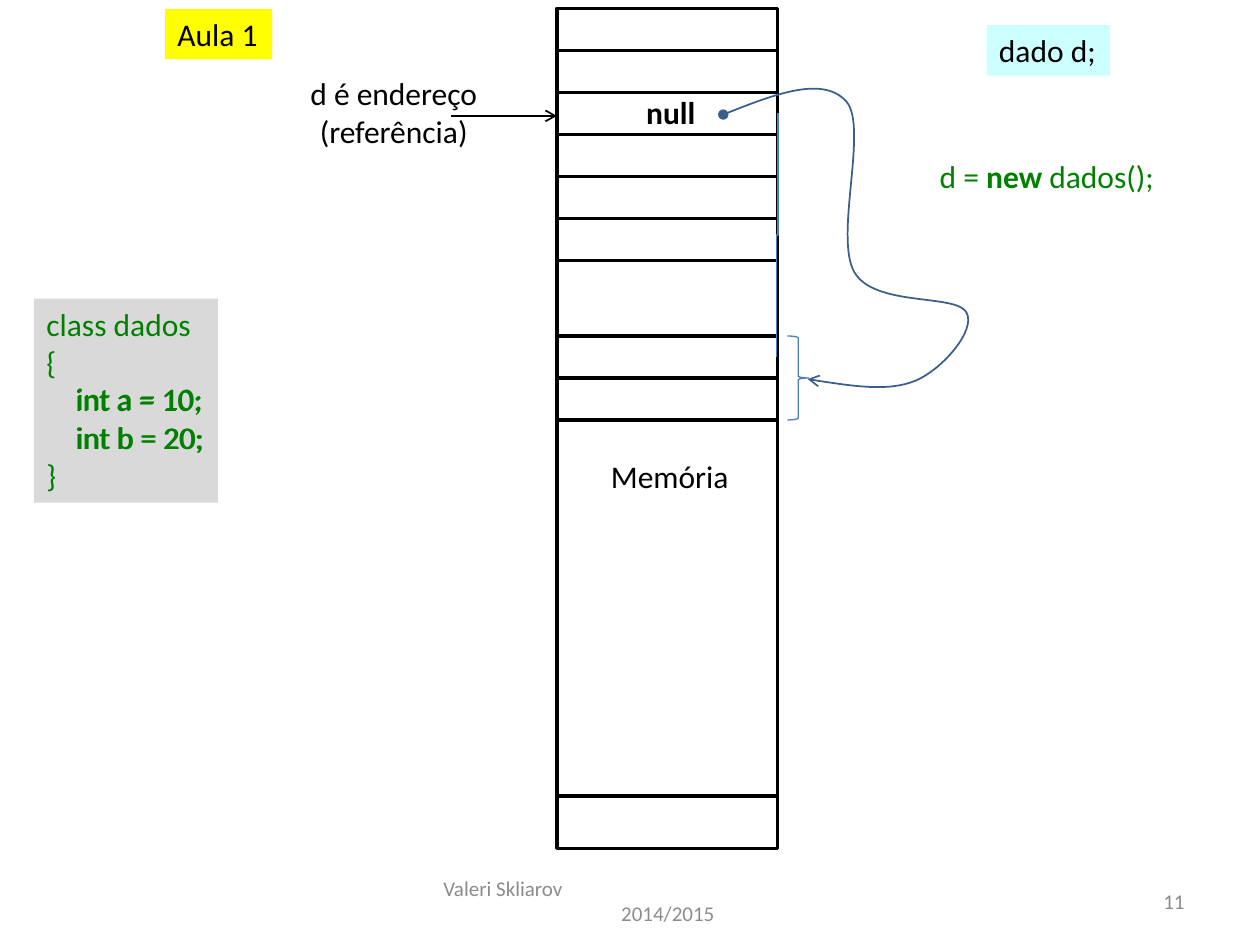
from dataclasses import dataclass
from typing import Optional

import lxml.etree
import pptx
import pptx.dml.color
import pptx.enum.shapes
import pptx.enum.text
import pptx.oxml.ns
import pptx.util

COLORS = {
    "black": "000000", "gray": "8C8C8C", "green": "008000", "yellow": "FFFF00",
    "cyan": "CCFFFF", "silver": "D9D9D9", "blue": "4B7EBC", "navy": "3A5F8C",
}
FONT = "Calibri"
ALIGN = pptx.enum.text.PP_ALIGN
ANCHOR = pptx.enum.text.MSO_ANCHOR
SHAPE = pptx.enum.shapes.MSO_SHAPE
CONNECTOR = pptx.enum.shapes.MSO_CONNECTOR
inches = pptx.util.Inches
qn = pptx.oxml.ns.qn

# Memory grid: column edges, top edge and row height
LEFT, RIGHT = 4.42, 6.17
TOP, ROW = 1 / 15, 1 / 3
ROW_COUNT = 20
DIVIDERS = (1, 2, 3, 4, 5, 6, 7.8, 8.8, 9.8, 18.75)


@dataclass
class Line:
    """One paragraph: (text, bold) spans, alignment and indent in inches."""
    spans: list[tuple[str, bool]]
    align: ALIGN = ALIGN.LEFT
    indent: float = 0


@dataclass
class Label:
    left: float
    top: float
    width: float
    height: float
    lines: list[Line]
    color: str = "black"
    fill: Optional[str] = None
    size: int = 18
    wrap: bool = False
    anchor: ANCHOR = ANCHOR.TOP


def plain(text: str, align: ALIGN = ALIGN.LEFT, indent: float = 0) -> Line:
    return Line([(text, False)], align, indent)


LABELS = [
    Label(3.42, 6.95, 3.17, 0.4,
          [plain("Valeri Skliarov"), plain("2014/2015", ALIGN.CENTER, 0.59)],
          "gray", size=12, wrap=True, anchor=ANCHOR.MIDDLE),
    Label(7.17, 6.95, 2.33, 0.4, [plain("11", ALIGN.RIGHT)],
          "gray", size=12, wrap=True, anchor=ANCHOR.MIDDLE),
    Label(4.75, 3.58, 1.15, 0.4, [plain("Memória")]),
    Label(1.31, 0.07, 0.85, 0.4, [plain("Aula 1")], fill="yellow"),
    Label(2.25, 0.54, 1.75, 0.71,
          [plain("d é endereço (referência)", ALIGN.CENTER)], wrap=True),
    Label(5.03, 0.69, 0.59, 0.4, [Line([("null", True)])]),
    Label(7.83, 0.2, 0.98, 0.4, [plain("dado d;")], fill="cyan"),
    Label(7.36, 1.2, 1.92, 0.4,
          [Line([("d = ", False), ("new", True), (" dados();", False)])], "green"),
    Label(0.27, 2.37, 1.46, 1.62,
          [plain("class dados"), plain("{"), plain("int a = 10;", indent=0.23),
           plain("int b = 20;", indent=0.23), plain("}")], "green", "silver"),
    Label(0.51, 2.96, 1.22, 0.4, [plain("int a = 10;")], "green"),
    Label(0.51, 3.27, 1.23, 0.4, [plain("int b = 20;")], "green"),
]

# Reference curve: frame, start point and cubic segments
CURVE_FRAME = (5.74, 0.71, 1.95, 2.36)
CURVE_START = (5.74, 0.91)
CURVE_SEGMENTS = [
    [(6.14, 0.75), (6.54, 0.6), (6.72, 0.81)],
    [(6.89, 1.02), (6.62, 1.88), (6.78, 2.16)],
    [(6.94, 2.44), (7.59, 2.33), (7.67, 2.48)],
    [(7.75, 2.62), (7.48, 2.93), (7.27, 3.02)],
    [(7.06, 3.11), (6.73, 3.06), (6.41, 3.01)],
]


def rgb(name: str) -> pptx.dml.color.RGBColor:
    return pptx.dml.color.RGBColor.from_string(COLORS[name])


def set_line(shape, color: str, width: float, head: str = "", tail: str = "") -> None:
    shape.line.color.rgb = rgb(color)
    shape.line.width = pptx.util.Pt(width)
    outline = shape.line._get_or_add_ln()
    for tag, kind in (("a:headEnd", head), ("a:tailEnd", tail)):
        if kind:
            lxml.etree.SubElement(outline, qn(tag), type=kind)


def add_outline(page, kind: SHAPE, frame: tuple, color: str, width: float) -> None:
    shape = page.shapes.add_shape(kind, *map(inches, frame))
    shape.shadow.inherit = False
    shape.fill.background()
    set_line(shape, color, width)


def add_line(page, start: tuple, end: tuple, color: str, width: float,
             kind: CONNECTOR = CONNECTOR.STRAIGHT, tail: str = ""):
    line = page.shapes.add_connector(kind, *map(inches, start + end))
    set_line(line, color, width, tail=tail)
    lxml.etree.SubElement(line._element.spPr, qn("a:effectLst"))
    return line


def add_label(page, label: Label) -> None:
    box = page.shapes.add_textbox(
        *map(inches, (label.left, label.top, label.width, label.height)))
    if label.fill:
        box.fill.solid()
        box.fill.fore_color.rgb = rgb(label.fill)
    frame = box.text_frame
    frame.word_wrap = label.wrap
    frame.vertical_anchor = label.anchor
    for index, line in enumerate(label.lines):
        para = frame.add_paragraph() if index else frame.paragraphs[0]
        para.alignment = line.align
        para.font.name = FONT
        para.font.size = pptx.util.Pt(label.size)
        para.font.color.rgb = rgb(label.color)
        if line.indent:
            para._p.get_or_add_pPr().set("marL", str(inches(line.indent)))
        for text, bold in line.spans:
            span = para.add_run()
            span.text = text
            span.font.bold = bold


def add_curve(page) -> None:
    left, top, width, height = map(inches, CURVE_FRAME)
    builder = page.shapes.build_freeform(*map(inches, CURVE_START))
    builder.add_line_segments(
        [tuple(map(inches, segment[-1])) for segment in CURVE_SEGMENTS], close=False)
    curve = builder.convert_to_shape()
    curve.left, curve.top, curve.width, curve.height = left, top, width, height
    curve.shadow.inherit = False
    curve.fill.background()
    set_line(curve, "navy", 1, head="oval", tail="arrow")

    # Swap the straight segments for cubic ones
    outline = next(curve._element.iter(qn("a:path")))
    for child in list(outline):
        outline.remove(child)
    outline.set("w", str(width))
    outline.set("h", str(height))
    steps = [("a:moveTo", [CURVE_START])]
    steps += [("a:cubicBezTo", segment) for segment in CURVE_SEGMENTS]
    for tag, points in steps:
        step = lxml.etree.SubElement(outline, qn(tag))
        for x, y in points:
            lxml.etree.SubElement(step, qn("a:pt"), x=str(inches(x) - left),
                                  y=str(inches(y) - top))


deck = pptx.Presentation()
deck.slide_width, deck.slide_height = inches(10), inches(7.5)
page = deck.slides.add_slide(deck.slide_layouts[6])

# Memory column
add_outline(page, SHAPE.RECTANGLE, (LEFT, TOP, RIGHT - LEFT, ROW_COUNT * ROW), "black", 2)
for rows in DIVIDERS:
    y = TOP + rows * ROW
    add_line(page, (LEFT, y), (RIGHT, y), "black", 2)

# Texts
for label in LABELS:
    add_label(page, label)

# Arrow to the reference cell, and the link down the column's edge
add_line(page, (3.58, 0.92), (LEFT, 0.92), "black", 1, tail="arrow")
link = add_line(page, (5.2, 1.86), (7.14, 1.87), "blue", 0.75, CONNECTOR.ELBOW)
link._element.spPr.find(qn("a:xfrm")).set("rot", str(90 * 60000))

# Brace around the object's cells, and the reference curve
add_outline(page, SHAPE.RIGHT_BRACE, (6.25, TOP + 7.8 * ROW, 0.17, 2 * ROW), "blue", 0.75)
add_curve(page)

deck.save("out.pptx")
